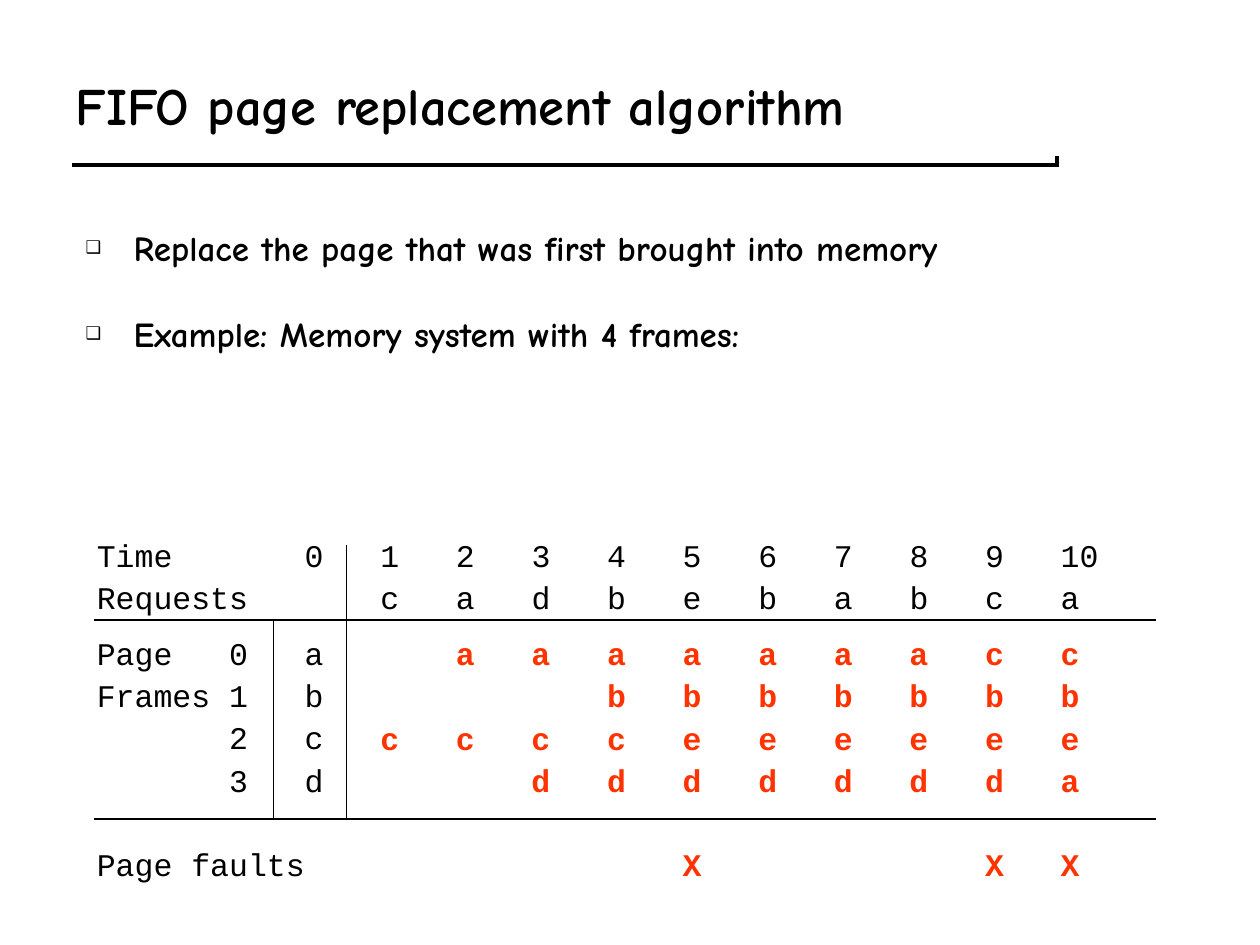
from dataclasses import dataclass

from lxml import etree
from pptx import Presentation
from pptx import util as u
from pptx.dml.color import RGBColor
from pptx.enum import shapes, text
from pptx.oxml import ns


@dataclass(frozen=True)
class Theme:
    ink: str = "000000"
    paper: str = "FFFFFF"
    accent: str = "FF3300"
    head_font: str = "Comic Neue"
    mono_font: str = "Courier New"
    title: float = 30
    body: float = 20
    grid: float = 18
    rule: float = 6
    thin: float = 1


class Deck:
    """Holds the theme and the current slide and draws each kind of element."""

    def __init__(self, prs, theme):
        self.t = theme
        self.s = prs.slides.add_slide(prs.slide_layouts[1])

    def run(self, p, words, font, size, color, bold=False):
        r = p.add_run()
        r.text = words
        r.font.name = font
        r.font.size = u.Pt(size)
        r.font.bold = bold
        r.font.color.rgb = RGBColor.from_string(color)

    def frame(self, sp, box, anchor=text.MSO_ANCHOR.TOP):
        sp.left, sp.top, sp.width, sp.height = (u.Inches(v) for v in box)
        tf = sp.text_frame
        tf.word_wrap = True
        tf.auto_size = text.MSO_AUTO_SIZE.NONE
        tf.vertical_anchor = anchor
        return tf

    def paragraph(self, tf, first, gap):
        p = tf.paragraphs[0] if first else tf.add_paragraph()
        p.alignment = text.PP_ALIGN.LEFT
        p.space_before = u.Pt(0 if first else gap)
        return p

    def title(self, words, box):
        tf = self.frame(self.s.shapes.title, box, text.MSO_ANCHOR.MIDDLE)
        p = self.paragraph(tf, True, 0)
        self.run(p, words, self.t.head_font, self.t.title, self.t.ink, True)

    def bullets(self, items, box, gap):
        tf = self.frame(self.s.placeholders[1], box)
        for i, words in enumerate(items):
            p = self.paragraph(tf, i == 0, gap)
            pPr = p._p.get_or_add_pPr()
            pPr.set("marL", str(u.Inches(0.38)))
            pPr.set("indent", str(-u.Inches(0.38)))
            clr = etree.SubElement(pPr, ns.qn("a:buClr"))
            etree.SubElement(clr, ns.qn("a:srgbClr"), val=self.t.ink)
            etree.SubElement(pPr, ns.qn("a:buSzPct"), val="50000")
            etree.SubElement(pPr, ns.qn("a:buChar"), char="❑")
            self.run(p, words, self.t.head_font, self.t.body, self.t.ink, True)

    def columns(self, rows, box, stops, pitch, color, bold=False):
        tf = self.frame(self.s.shapes.add_textbox(0, 0, 0, 0), box)
        for i, (words, gap) in enumerate(rows):
            p = self.paragraph(tf, i == 0, gap)
            p.line_spacing = u.Pt(pitch)
            tabs = etree.SubElement(p._p.get_or_add_pPr(), ns.qn("a:tabLst"))
            for stop in stops:
                etree.SubElement(tabs, ns.qn("a:tab"), pos=str(u.Inches(stop)), algn="l")
            self.run(p, words, self.t.mono_font, self.t.grid, color, bold)

    def line(self, x1, y1, x2, y2, color, width):
        ends = (u.Inches(v) for v in (x1, y1, x2, y2))
        sp = self.s.shapes.add_connector(shapes.MSO_CONNECTOR.STRAIGHT, *ends)
        sp.line.color.rgb = RGBColor.from_string(color)
        sp.line.width = u.Pt(width)
        spPr = sp._element.spPr
        spPr.find(ns.qn("a:ln")).set("cap", "sq")
        etree.SubElement(spPr, ns.qn("a:effectLst"))


def main():
    prs = Presentation()
    prs.slide_width, prs.slide_height = u.Inches(10), u.Inches(7.5)
    t = Theme()
    d = Deck(prs, t)

    d.line(0.61, 1.28, 8.36, 1.28, t.ink, t.rule)
    d.line(0.58, 1.25, 8.33, 1.25, t.paper, t.rule)
    d.title("FIFO page replacement algorithm", (0.5, 0.33, 8.58, 1))
    d.bullets(
        ["Replace the page that was first brought into memory",
         "Example: Memory system with 4 frames:"],
        (0.58, 1.75, 8.5, 2), 25)

    char, step = 0.15, 0.6
    pitch, rule_gap = 24.1, 8
    times = "\t".join(str(n) for n in range(11))
    requests = "\t".join("cadbebabca")
    labels = [
        ("Time\t\t" + times, 0),
        ("Requests\t\t" + requests, 0),
        ("Page\t0\ta", rule_gap),
        ("Frames\t1\tb", 0),
        ("\t2\tc", 0),
        ("\t3\td", 0),
        ("Page faults", pitch),
    ]
    frames_top = 4.95
    labels_top = frames_top - (2 * pitch + rule_gap) / 72
    d.columns(labels, (0.67, labels_top, 8.75, 2.9),
              [7 * char + i * step for i in range(12)], pitch, t.ink)

    left, right, top, bottom = 0.75, 9.17, 4.92, 6.5
    for y in (top, bottom):
        d.line(left, y, right, y, t.ink, t.thin)
    for x, start in ((2.75, 4.33), (2.17, top)):
        d.line(x, start, x, bottom, t.ink, t.thin)

    frames = [(1, "aaaaaaacc"), (3, "bbbbbbb"), (0, "cccceeeeee"), (2, "ddddddda")]
    rows = [("\t" * lead + "\t".join(pages), 0) for lead, pages in frames]
    rows.append(("\t" * 4 + "X" + "\t" * 4 + "X\tX", pitch))
    d.columns(rows, (2.92, frames_top, 6.67, 2.1),
              [i * step for i in range(1, 10)], pitch, t.accent, True)

    prs.save("out.pptx")


if __name__ == "__main__":
    main()
